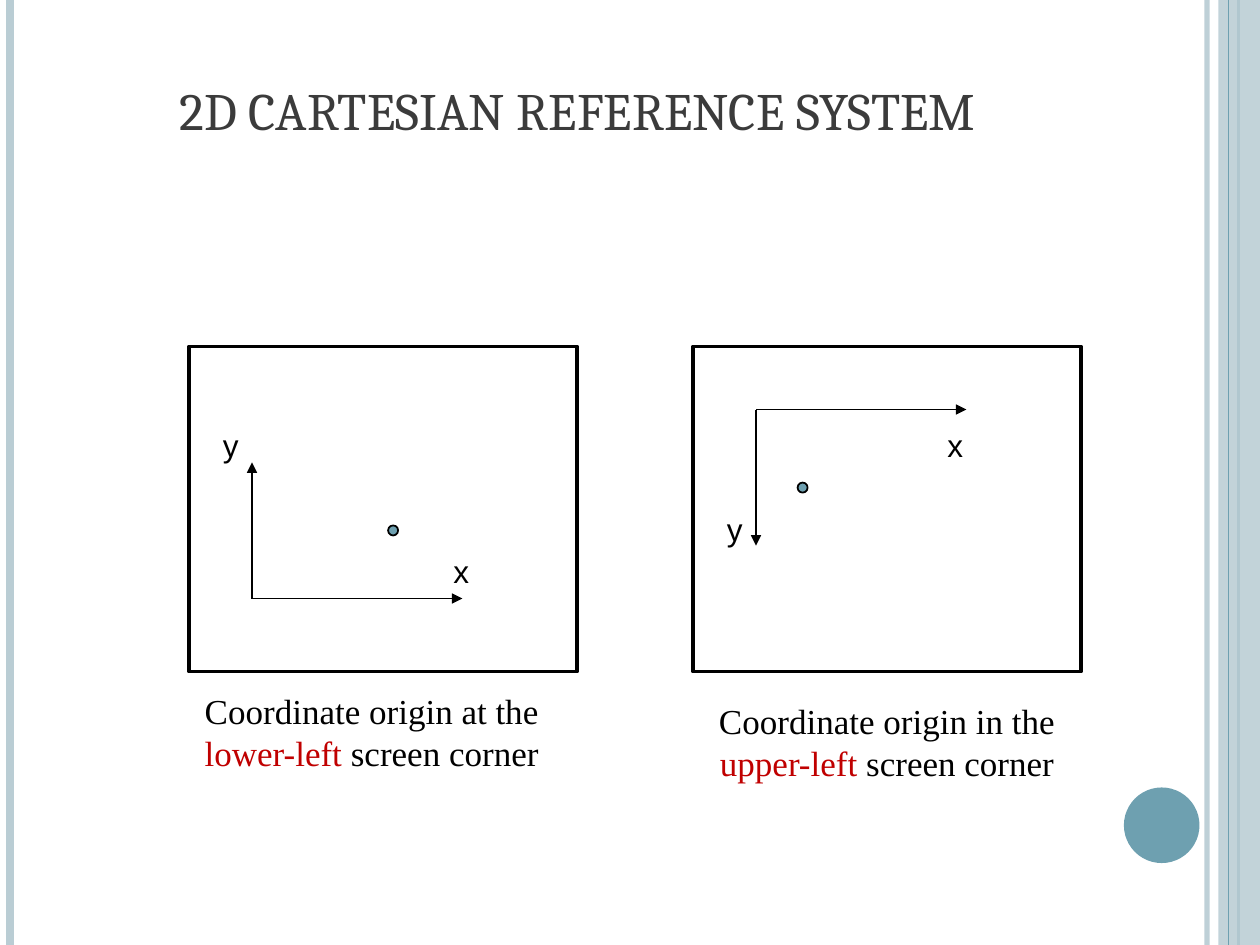
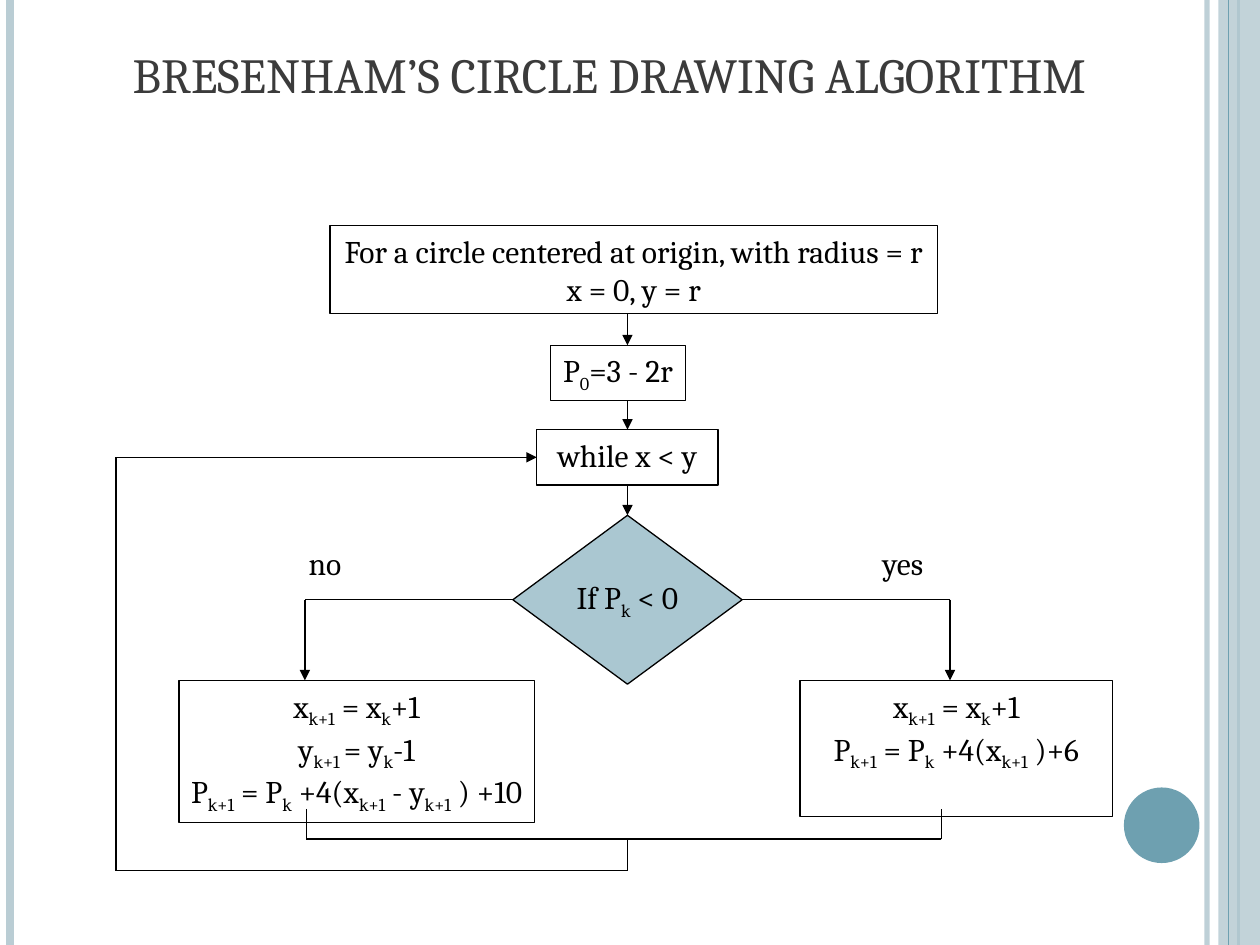
from itertools import pairwise

from lxml import etree
from pptx import Presentation
from pptx import util as u
from pptx.dml.color import RGBColor
from pptx.enum import shapes, text
from pptx.oxml.ns import qn

BLACK, WHITE, INK = "000000", "FFFFFF", "3B3B3B"
TEAL, MIST, ACCENT = "6EA0B0", "BACDD4", "C00000"
SERIF, SANS, TITLE_FONT = "Times New Roman", "Arial", "Cambria"
TOP, LEFT, BOTTOM, RIGHT = range(4)
SLIDE_W, SLIDE_H = 10, 7.5
RECT = shapes.MSO_SHAPE.RECTANGLE
OVAL = shapes.MSO_SHAPE.OVAL
DIAMOND = shapes.MSO_SHAPE.DIAMOND
MIDDLE = text.MSO_ANCHOR.MIDDLE


def rgb(hex_color):
    return RGBColor.from_string(hex_color)


def paint(fill, color, opacity=100):
    fill.solid()
    fill.fore_color.rgb = rgb(color)
    if opacity < 100:
        tint = next(fill._xPr.iter(qn("a:srgbClr")))
        etree.SubElement(tint, qn("a:alpha"), val=str(opacity * 1000))


def write(frame, lines, size, font=TITLE_FONT, color=BLACK, anchor=MIDDLE,
          accent=None, hanging=0):
    """Write lines; parts between bars are subscripts, or take the accent colour."""
    frame.word_wrap = False
    frame.vertical_anchor = anchor
    for number, line_text in enumerate(lines):
        paragraph = frame.add_paragraph() if number else frame.paragraphs[0]
        paragraph.alignment = text.PP_ALIGN.CENTER
        if hanging:
            properties = paragraph._p.get_or_add_pPr()
            properties.set("marL", str(u.Inches(hanging)))
            properties.set("indent", str(-u.Inches(hanging)))
        for part_number, part in enumerate(line_text.split("|")):
            if not part:
                continue
            run = paragraph.add_run()
            run.text = part
            run.font.size = u.Pt(size)
            run.font.name = font
            marked = part_number % 2 == 1
            run.font.color.rgb = rgb(accent if marked and accent else color)
            if marked and not accent:
                run.font._element.set("baseline", "-25000")


def label(slide, box, lines, size, **style):
    frame = slide.shapes.add_textbox(*map(u.Inches, box)).text_frame
    write(frame, lines, size, **style)


def block(slide, kind, box, fill=None, opacity=100, line_width=0):
    shape = slide.shapes.add_shape(kind, *map(u.Inches, box))
    shape.shadow.inherit = False
    if fill:
        paint(shape.fill, fill, opacity)
    else:
        shape.fill.background()
    if line_width:
        paint(shape.line.fill, BLACK)
        shape.line.width = u.Pt(line_width)
    else:
        shape.line.fill.background()
    return shape


def line(slide, start, end, width, color=BLACK, opacity=100, arrow=False):
    connector = slide.shapes.add_connector(
        shapes.MSO_CONNECTOR.STRAIGHT, *map(u.Inches, (*start, *end)))
    connector.line.width = u.Pt(width)
    paint(connector.line.fill, color, opacity)
    if arrow:
        etree.SubElement(connector.line._ln, qn("a:tailEnd"), type="triangle")
    etree.SubElement(connector._element.spPr, qn("a:effectLst"))
    return connector


def route(slide, points, width=0.75, arrow=False, source=None, target=None):
    """Join points by straight lines; source and target are (shape, side)."""
    legs = list(pairwise(points))
    lines = [line(slide, start, end, width, arrow=arrow and (start, end) == legs[-1])
             for start, end in legs]
    if source:
        lines[0].begin_connect(*source)
    if target:
        lines[-1].end_connect(*target)


def themed_slide(deck, title, title_box, title_size):
    slide = deck.slides.add_slide(deck.slide_layouts[6])
    paint(slide.background.fill, WHITE)

    def rule(x, width, color, opacity=100):
        line(slide, (x, 0), (x, SLIDE_H), width, color, opacity)

    rule(9.58, 3, MIST, 93)
    rule(0.08, 4.5, MIST)
    rule(9.83, 1.5, TEAL)
    block(slide, RECT, (9.67, 0, 0.33, SLIDE_H), MIST, 87)
    rule(9.75, 0.75, TEAL)
    block(slide, OVAL, (8.92, 6.25, 0.6, 0.6), TEAL)
    label(slide, title_box, [title], title_size, color=INK,
          anchor=text.MSO_ANCHOR.BOTTOM)
    return slide


def axes_panel(slide, left, top, origin_y, y_length, point, x_name, y_name,
               caption_at, caption):
    """Draw a screen with its axes; all offsets start at its upper-left corner."""
    def at(x, y):
        return left + x, top + y

    block(slide, RECT, (left, top, 3.08, 2.58), line_width=2.25)
    origin = at(0.5, origin_y)
    for tip in (at(2.17, origin_y), at(0.5, origin_y + y_length)):
        line(slide, origin, tip, 1, arrow=True)
    block(slide, OVAL, (*at(*point), 0.08, 0.08), TEAL, line_width=1)
    label(slide, (*at(*x_name), 0.25, 0.4), ["x"], 18, font=SANS)
    label(slide, (*at(*y_name), 0.32, 0.4), ["y"], 18, font=SANS)
    label(slide, (*at(*caption_at), 3.93, 0.77), caption, 20, font=SERIF,
          accent=ACCENT, hanging=0.5)


def circle_flowchart(slide, left, top):
    spine, row_y = 4.06, 3.61
    loop_w, loop_y, loop_h = 1.44, 1.62, 0.44
    test_w, test_y, test_h = 1.82, 2.3, 1.34
    test_mid, merge_y, return_y = test_y + test_h / 2, 4.87, 5.12

    def at(x, y):
        return left + x, top + y

    def step(x, y, width, height, lines, kind=RECT, fill=None,
             anchor=text.MSO_ANCHOR.TOP):
        shape = block(slide, kind, (*at(x, y), width, height), fill, 58, 0.75)
        write(shape.text_frame, lines, 18, anchor=anchor)
        return shape

    def flow(*points, **ends):
        route(slide, [at(*point) for point in points], **ends)

    step(1.7, 0, 4.82, 0.7,
         ["For a circle centered at origin, with radius = r", "x = 0, y = r"])
    step(3.45, 0.95, 1.07, 0.44, ["P|0|=3 - 2r"])
    loop = step(spine - loop_w / 2, loop_y, loop_w, loop_h, ["while x < y"])
    test = step(spine - test_w / 2, test_y, test_w, test_h, ["If P|k| < 0"],
                DIAMOND, TEAL, MIDDLE)
    step(5.43, row_y, 2.48, 1.08,
         ["x|k+1| = x|k|+1", "P|k+1| = P|k| +4(x|k+1| )+6"])
    step(0.5, row_y, 2.82, 1.13,
         ["x|k+1| = x|k|+1", "y|k+1 |= y|k|-1",
          "P|k+1| = P|k| +4(x|k+1| - y|k+1| ) +10"])

    flow((spine, 0.7), (spine, 0.95), arrow=True)
    flow((spine, 1.39), (spine, loop_y), arrow=True, target=(loop, TOP))
    flow((spine, loop_y + loop_h), (spine, test_y), arrow=True,
         source=(loop, BOTTOM), target=(test, TOP))
    for branch_x, corner, side in ((1.5, spine - test_w / 2, LEFT),
                                   (6.62, spine + test_w / 2, RIGHT)):
        flow((corner, test_mid), (branch_x, test_mid), (branch_x, row_y),
             arrow=True, source=(test, side))
    for answer, x, width in (("no", 1.43, 0.46), ("yes", 5.98, 0.53)):
        label(slide, (*at(x, 2.48), width, 0.4), [answer], 18)

    flow((1.51, 4.63), (1.51, merge_y), (6.55, merge_y), (6.55, 4.63))
    loop_mid = loop_y + loop_h / 2
    flow((spine, merge_y), (spine, return_y), (0, return_y), (0, loop_mid),
         (spine - loop_w / 2, loop_mid), arrow=True, target=(loop, LEFT))


def main():
    deck = Presentation()
    deck.slide_width, deck.slide_height = u.Inches(SLIDE_W), u.Inches(SLIDE_H)

    axes = themed_slide(deck, "2D CARTESIAN REFERENCE SYSTEM",
                        (0.5, 0.3, 8.17, 0.87), 30)
    axes_panel(axes, 1.5, 2.75, origin_y=2, y_length=-1.08, point=(1.58, 1.42),
               x_name=(2, 1.58), y_name=(0.17, 0.58), caption_at=(-0.48, 2.67),
               caption=["Coordinate origin at the ",
                        "|lower-left| screen corner "])
    axes_panel(axes, 5.5, 2.75, origin_y=0.5, y_length=1.08, point=(0.83, 1.08),
               x_name=(1.92, 0.58), y_name=(0.17, 1.25), caption_at=(-0.39, 2.75),
               caption=["Coordinate origin in the ",
                        "|upper-left |screen corner "])

    circle = themed_slide(deck, "BRESENHAM’S CIRCLE DRAWING ALGORITHM",
                          (0.75, 0, 8.17, 0.87), 28)
    circle_flowchart(circle, 0.92, 1.79)
    deck.save("out.pptx")


if __name__ == "__main__":
    main()
